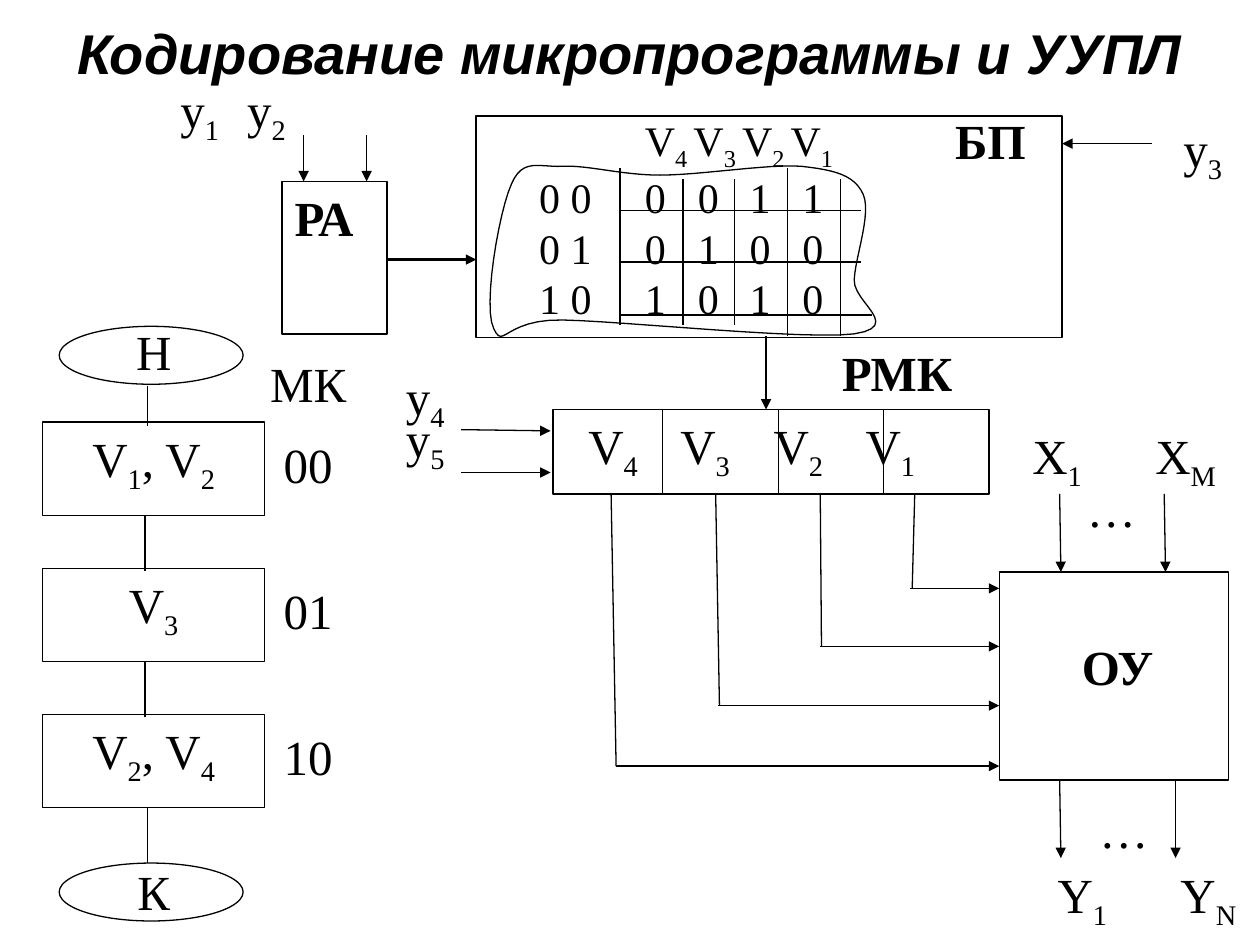
from lxml import etree
from pptx import Presentation
from pptx.dml.color import RGBColor
from pptx.enum import shapes, text
from pptx.oxml.ns import qn
from pptx.util import Inches, Pt

COLORS = {"ink": "000000"}
INK = RGBColor.from_string(COLORS["ink"])
TITLE = "Кодирование микропрограммы и УУПЛ"
SERIF = "Times New Roman"

# Flowchart: subscripts stand in braces
STAGES = [("V{1}, V{2}", "00"), ("V{3}", "01"), ("V{2}, V{4}", "10")]
STAGE_TOP, STAGE_STEP, STAGE_HEIGHT = 3.35, 1.16, 0.74
TERMINALS = [("Н", 2.59, 2.5), ("К", 6.85, 6.79)]

MATRIX = ["\tV{4 }V{3 }V{2 }V{1}", "0 0\t0\t0\t1\t1", "0 1\t0\t1\t0\t0", "1 0\t1\t0\t1\t0"]
MATRIX_TABS = [0.84, 1.26, 1.67, 2.09]
REGISTER = "V{4}\tV{3}\tV{2}\tV{1}"
REGISTER_TABS = [0.73, 1.47, 2.2]

# text, left, top, width, bold
LABELS = [
    ("МК", 1.75, 2.76, 1.39, False),
    ("y{1}", 1.08, 0.58, 1.01, False),
    ("y{2}", 1.61, 0.58, 1.01, False),
    ("y{3}", 9.04, 0.89, 1.01, False),
    ("y{4}", 2.87, 2.86, 1.01, False),
    ("y{5}", 2.87, 3.19, 1.01, False),
    ("РМК", 6.31, 2.67, 1.62, True),
    ("БП", 7.05, 0.83, 1.62, True),
    ("ОУ", 8.14, 5, 1.46, True),
    ("X{1}", 7.63, 3.33, 1.52, False),
    ("…", 8.06, 3.75, 1.52, False),
    ("X{M}", 8.65, 3.33, 1.52, False),
    ("Y{1}", 7.83, 6.81, 1.52, False),
    ("…", 8.16, 6.3, 1.52, False),
    ("Y{N}", 8.83, 6.81, 1.52, False),
]

# x1, y1, x2, y2
BUS_ARROWS = [(6.08, 2.67, 6.08, 3.25), (3.07, 2.06, 3.78, 2.06)]
SIGNAL_ARROWS = [
    (2.41, 1.07, 2.41, 1.44), (2.91, 1.07, 2.91, 1.44), (9.14, 1.14, 8.43, 1.14),
    (3.66, 3.41, 4.37, 3.42), (3.66, 3.75, 4.37, 3.75),
    (8.41, 3.92, 8.42, 4.54), (9.24, 3.92, 9.25, 4.54),
    (8.41, 6.19, 8.42, 6.81), (9.33, 6.19, 9.33, 6.81),
]
# register x, bend x, arrow start x, bend y
CONTROL_LEADS = [
    (7.26, 7.24, 7.22, 4.67), (6.51, 6.52, 6.51, 5.13),
    (5.68, 5.71, 5.7, 5.6), (4.85, 4.89, 4.89, 6.08),
]
REGISTER_DIVIDERS = [5.26, 6.18, 7.01]
MATRIX_COLUMNS = [(4.92, 1.33, 2.58), (5.42, 1.42, 2.58), (5.83, 1.42, 2.58),
                  (6.25, 1.33, 2.67), (6.67, 1.42, 2.67)]
MATRIX_ROWS = [(6.83, 1.67), (6.83, 2.08), (6.92, 2.5)]

CLOUD_START = (4.06, 1.46)
CLOUD_CURVES = [
    ((4.15, 1.25), (4.28, 1.33), (4.47, 1.32)),
    ((4.67, 1.31), (4.93, 1.39), (5.24, 1.39)),
    ((5.56, 1.39), (6.1, 1.3), (6.36, 1.32)),
    ((6.63, 1.35), (6.78, 1.39), (6.85, 1.54)),
    ((6.92, 1.69), (6.79, 2.03), (6.78, 2.22)),
    ((6.77, 2.4), (7.17, 2.59), (6.78, 2.65)),
    ((6.4, 2.7), (4.95, 2.55), (4.47, 2.54)),
    ((4, 2.53), (4, 2.78), (3.92, 2.61)),
    ((3.83, 2.44), (3.96, 1.68), (4.06, 1.46)),
]

prs = Presentation()
prs.slide_width, prs.slide_height = Inches(10), Inches(7.5)
slide = prs.slides.add_slide(prs.slide_layouts[5])


def write(frame, lines, size=28, bold=False, align="CENTER", tabs=()):
    """Fill a frame with lines whose braced parts become subscripts."""
    frame.word_wrap = True
    frame.vertical_anchor = text.MSO_ANCHOR.TOP
    for row, line in enumerate(lines):
        paragraph = frame.add_paragraph() if row else frame.paragraphs[0]
        paragraph.alignment = getattr(text.PP_ALIGN, align)
        if tabs:
            stops = etree.SubElement(paragraph._p.get_or_add_pPr(), qn("a:tabLst"))
            for stop in tabs:
                etree.SubElement(stops, qn("a:tab"), pos=str(Inches(stop)), algn="l")
        for part, words in enumerate(line.replace("}", "{").split("{")):
            if not words:
                continue
            run = paragraph.add_run()
            run.text = words
            font_format = {"name": SERIF, "size": Pt(size), "bold": bold}
            for key, value in font_format.items():
                setattr(run.font, key, value)
            run.font.color.rgb = INK
            if part % 2:
                run._r.get_or_add_rPr().set("baseline", "-25000")


def add_label(words, left, top, width, bold=False, height=0.44):
    box = slide.shapes.add_textbox(*map(Inches, (left, top, width, height)))
    write(box.text_frame, [words], bold=bold)


def outline(shape, weight):
    shape.shadow.inherit = False
    shape.fill.background()
    shape.line.color.rgb = INK
    shape.line.width = Pt(weight)
    return shape


def add_block(left, top, width, height, weight=0.75, preset="RECTANGLE"):
    kind = getattr(shapes.MSO_SHAPE, preset)
    return outline(slide.shapes.add_shape(kind, *map(Inches, (left, top, width, height))), weight)


def add_line(x1, y1, x2, y2, weight=0.75, arrow=False):
    line = slide.shapes.add_connector(
        shapes.MSO_CONNECTOR.STRAIGHT, *map(Inches, (x1, y1, x2, y2)))
    line.line.color.rgb = INK
    line.line.width = Pt(weight)
    if arrow:
        etree.SubElement(line.line._get_or_add_ln(), qn("a:tailEnd"), type="triangle")
    etree.SubElement(line._element.spPr, qn("a:effectLst"))


def cloud_points(steps=12):
    """Sample the chained Bezier curves evenly."""
    start = CLOUD_START
    for first, second, end in CLOUD_CURVES:
        for step in range(1, steps + 1):
            t = step / steps
            weights = ((1 - t) ** 3, 3 * t * (1 - t) ** 2, 3 * t ** 2 * (1 - t), t ** 3)
            corners = (start, first, second, end)
            yield tuple(Inches(sum(w * c[axis] for w, c in zip(weights, corners)))
                        for axis in (0, 1))
        start = end


title = slide.shapes.title
for side, value in {"left": 0, "top": 0.08, "width": 10, "height": 0.67}.items():
    setattr(title, side, Inches(value))
title.text_frame.text = TITLE
title.text_frame.auto_size = text.MSO_AUTO_SIZE.NONE
title.text_frame.vertical_anchor = text.MSO_ANCHOR.MIDDLE
heading = title.text_frame.paragraphs[0]
heading.alignment = text.PP_ALIGN.CENTER
title_format = {"name": "Arial", "size": Pt(32), "bold": True, "italic": True}
for key, value in title_format.items():
    setattr(heading.runs[0].font, key, value)
heading.runs[0].font.color.rgb = INK

# Flowchart
for words, ellipse_top, text_top in TERMINALS:
    add_block(0.47, ellipse_top, 1.46, 0.46, preset="OVAL")
    add_label(words, 0.25, text_top, 1.94, height=0.63)
for index, (commands, code) in enumerate(STAGES):
    top = STAGE_TOP + index * STAGE_STEP
    write(add_block(0.34, top, 1.76, STAGE_HEIGHT).text_frame, [commands])
    add_label(code, 1.75, top + 0.05, 1.39, height=0.63)
    if index:
        add_line(1.15, top - 0.42, 1.15, top + 0.02)
add_line(1.17, 3.06, 1.17, 3.38)
add_line(1.17, 6.41, 1.17, 6.85)

# Control unit blocks
write(add_block(2.24, 1.44, 0.83, 1.21, 1).text_frame, ["РА"], bold=True, align="LEFT")
add_block(3.78, 0.92, 4.65, 1.76, 1)
add_block(7.93, 4.54, 1.82, 1.65)
register = add_block(4.39, 3.25, 3.46, 0.67, 1)
write(register.text_frame, [REGISTER], align="LEFT", tabs=REGISTER_TABS)
register.text_frame.margin_left = Inches(0.28)
matrix = slide.shapes.add_textbox(*map(Inches, (4.18, 0.86, 3.98, 1.39)))
write(matrix.text_frame, MATRIX, size=24, align="LEFT", tabs=MATRIX_TABS)

cloud = slide.shapes.build_freeform(*map(Inches, CLOUD_START))
cloud.add_line_segments(list(cloud_points()), close=True)
outline(cloud.convert_to_shape(), 0.75)

for label in LABELS:
    add_label(*label)
for ends in BUS_ARROWS:
    add_line(*ends, weight=1.5, arrow=True)
for ends in SIGNAL_ARROWS:
    add_line(*ends, arrow=True)
for top_x, bend_x, arrow_x, y in CONTROL_LEADS:
    add_line(top_x, 3.92, bend_x, y)
    add_line(arrow_x, y, 7.93, y, arrow=True)
for x in REGISTER_DIVIDERS:
    add_line(x, 3.25, x, 3.92)
for x, top, bottom in MATRIX_COLUMNS:
    add_line(x, top, x, bottom)
for right, y in MATRIX_ROWS:
    add_line(right, y, 4.92, y)

prs.save("out.pptx")
